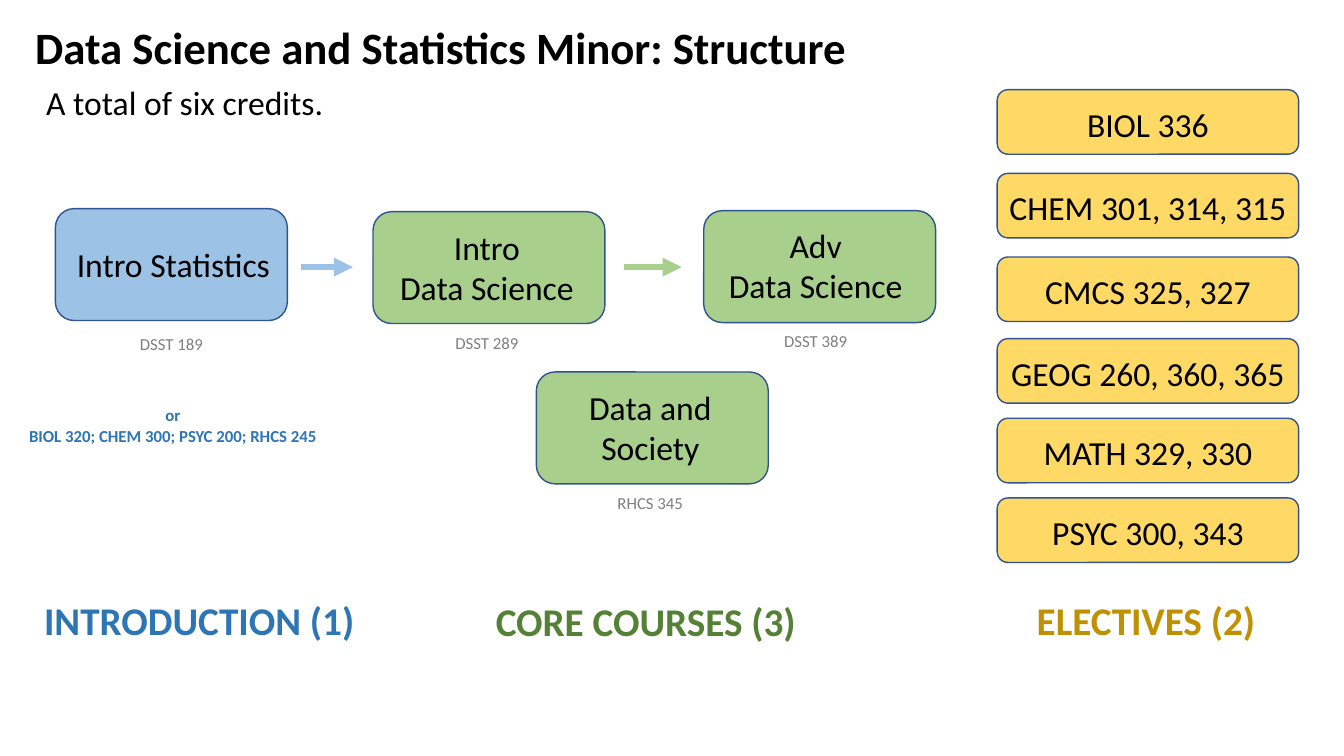
from dataclasses import dataclass

from lxml.etree import SubElement
from pptx import Presentation
from pptx.dml.color import RGBColor
from pptx.enum.shapes import MSO_CONNECTOR, MSO_SHAPE
from pptx.enum.text import MSO_AUTO_SIZE, PP_ALIGN
from pptx.oxml.ns import qn
from pptx.slide import Slide
from pptx.util import Inches, Pt

FONT = "Calibri"
BLACK, GRAY, OUTLINE = "000000", "7F7F7F", "31538F"
LIGHT_BLUE, LIGHT_GREEN, YELLOW = "9CC2E5", "A8D08C", "FFD966"
BLUE, GREEN, GOLD = "2E75B5", "548135", "BF9000"

COURSE_WIDTH, COURSE_HEIGHT = 2.3, 1.11
ELECTIVE_LEFT, ELECTIVE_WIDTH, ELECTIVE_HEIGHT = 9.89, 2.99, 0.64


@dataclass
class Course:
    title: str
    code: str
    left: float
    top: float
    fill: str
    text_left: float
    text_top: float
    code_left: float
    code_top: float


@dataclass
class Elective:
    title: str
    top: float


@dataclass
class Arrow:
    start: float
    end: float
    color: str


@dataclass
class Heading:
    text: str
    left: float
    top: float
    width: float
    color: str


COURSES = [
    Course("Intro Statistics", "DSST 189", 0.55, 2.07, LIGHT_BLUE, 0.57, 2.37, 0.55, 3.26),
    Course("Intro\nData Science", "DSST 289", 3.7, 2.1, LIGHT_GREEN, 3.68, 2.2, 3.68, 3.25),
    Course("Adv\nData Science", "DSST 389", 6.98, 2.09, LIGHT_GREEN, 6.94, 2.18, 6.94, 3.23),
    Course("Data and Society", "RHCS 345", 5.32, 3.69, LIGHT_GREEN, 5.3, 3.79, 5.3, 4.84),
]
ELECTIVES = [
    Elective("BIOL 336", 0.89),
    Elective("CHEM 301, 314, 315", 1.72),
    Elective("CMCS 325, 327", 2.55),
    Elective("GEOG 260, 360, 365", 3.36),
    Elective("MATH 329, 330", 4.15),
    Elective("PSYC 300, 343", 4.94),
]
ARROWS = [Arrow(2.99, 3.5, LIGHT_BLUE), Arrow(6.19, 6.76, LIGHT_GREEN)]
ARROW_TOP = 2.65
HEADINGS = [
    Heading("INTRODUCTION (1)", 0.25, 5.87, 3.45, BLUE),
    Heading("CORE COURSES (3)", 4.42, 5.88, 3.97, GREEN),
    Heading("ELECTIVES (2)", 9.64, 5.87, 3.45, GOLD),
]


def rgb(color: str) -> RGBColor:
    return RGBColor.from_string(color)


def add_text(slide: Slide, text: str, left: float, top: float, width: float, height: float, *,
             size: int = 24, color: str = BLACK, bold: bool = False,
             align: PP_ALIGN = PP_ALIGN.CENTER) -> None:
    """Add a text box with one paragraph for each line of text."""
    box = slide.shapes.add_textbox(Inches(left), Inches(top), Inches(width), Inches(height))
    frame = box.text_frame
    frame.word_wrap = True
    frame.auto_size = MSO_AUTO_SIZE.SHAPE_TO_FIT_TEXT
    frame.text = text
    for paragraph in frame.paragraphs:
        paragraph.alignment = align
        for run in paragraph.runs:
            run.font.name = FONT
            run.font.size = Pt(size)
            run.font.bold = bold
            run.font.color.rgb = rgb(color)


def add_box(slide: Slide, left: float, top: float, width: float, height: float, fill: str) -> None:
    shape = slide.shapes.add_shape(MSO_SHAPE.ROUNDED_RECTANGLE, Inches(left), Inches(top),
                                   Inches(width), Inches(height))
    shape.shadow.inherit = False
    shape.fill.solid()
    shape.fill.fore_color.rgb = rgb(fill)
    shape.line.color.rgb = rgb(OUTLINE)
    shape.line.width = Pt(1)


def add_course(slide: Slide, course: Course) -> None:
    add_box(slide, course.left, course.top, COURSE_WIDTH, COURSE_HEIGHT, course.fill)
    text_height = 0.5 if course.title == "Intro Statistics" else 0.91
    add_text(slide, course.title, course.text_left, course.text_top, COURSE_WIDTH, text_height)
    add_text(slide, course.code, course.code_left, course.code_top, COURSE_WIDTH, 0.3,
             size=12, color=GRAY)


def add_elective(slide: Slide, elective: Elective) -> None:
    add_box(slide, ELECTIVE_LEFT, elective.top, ELECTIVE_WIDTH, ELECTIVE_HEIGHT, YELLOW)
    add_text(slide, elective.title, ELECTIVE_LEFT, elective.top + 0.09, ELECTIVE_WIDTH, 0.5)


def add_arrow(slide: Slide, arrow: Arrow) -> None:
    connector = slide.shapes.add_connector(MSO_CONNECTOR.STRAIGHT, Inches(arrow.start),
                                           Inches(ARROW_TOP), Inches(arrow.end), Inches(ARROW_TOP))
    connector.line.color.rgb = rgb(arrow.color)
    connector.line.width = Pt(4.5)
    properties = connector._element.spPr
    SubElement(properties.find(qn("a:ln")), qn("a:tailEnd"), type="triangle")
    SubElement(properties, qn("a:effectLst"))


def main() -> None:
    presentation = Presentation()
    presentation.slide_width = Inches(13.33)
    presentation.slide_height = Inches(7.5)
    slide = presentation.slides.add_slide(presentation.slide_layouts[6])

    add_text(slide, "Data Science and Statistics Minor: Structure", 0.25, 0.15, 8.82, 0.64,
             size=32, bold=True, align=PP_ALIGN.LEFT)
    add_text(slide, "A total of six credits.", 0.36, 0.76, 3.19, 0.5, align=PP_ALIGN.LEFT)
    for course in COURSES:
        add_course(slide, course)
    for arrow in ARROWS:
        add_arrow(slide, arrow)
    add_text(slide, "or\nBIOL 320; CHEM 300; PSYC 200; RHCS 245", 0.12, 3.97, 3.19, 0.5,
             size=12, color=BLUE, bold=True)
    for elective in ELECTIVES:
        add_elective(slide, elective)
    for heading in HEADINGS:
        add_text(slide, heading.text, heading.left, heading.top, heading.width, 0.57,
                 size=28, color=heading.color, bold=True)

    presentation.save("out.pptx")


if __name__ == "__main__":
    main()
